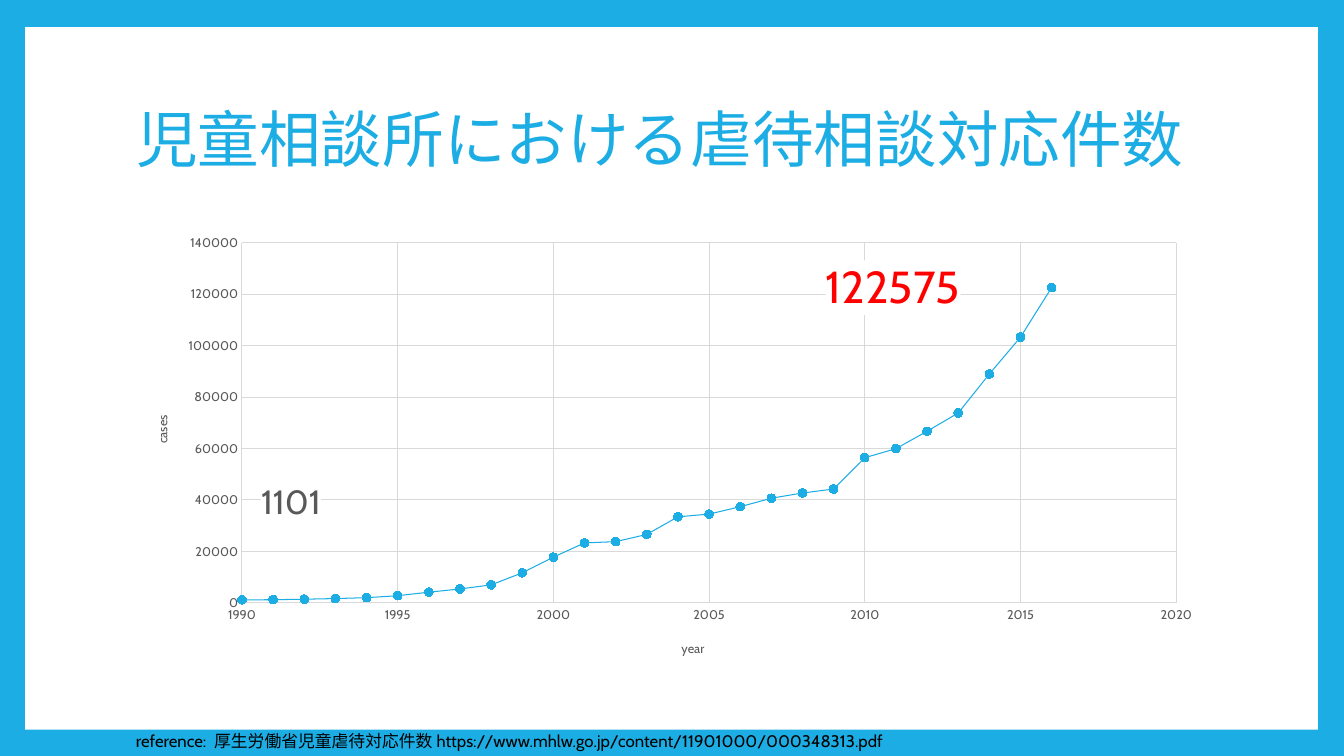
from dataclasses import dataclass
from typing import Any, Optional

import lxml.etree
import pptx
import pptx.chart.data
import pptx.dml.color
import pptx.enum.chart
import pptx.enum.shapes
import pptx.enum.text
import pptx.oxml.ns
import pptx.util

qn = pptx.oxml.ns.qn


@dataclass(frozen=True)
class Theme:
    font: str = "Cabin"
    blue: str = "1CADE4"
    marker: str = "12B1EE"
    white: str = "FFFFFF"
    black: str = "000000"
    gray: str = "595959"
    grid: str = "D9D9D9"
    red: str = "FF0000"
    title_size: int = 44
    peak_size: int = 32
    start_size: int = 24
    reference_size: int = 12
    axis_size: int = 9


@dataclass(frozen=True)
class Area:
    column: float
    row: float
    columns: float
    rows: float

    def box(self) -> tuple[int, ...]:
        return tuple(pptx.util.Emu(round(count * CELL)) for count in
                     (self.column, self.row, self.columns, self.rows))


@dataclass(frozen=True)
class AxisStyle:
    title: str
    low: int
    high: int
    step: int
    title_x: float
    title_y: float
    line: Optional[str]


@dataclass(frozen=True)
class Callout:
    index: int
    size: int
    color: str
    shift_x: float
    shift_y: float


THEME = Theme()
CELL = pptx.util.Inches(1) / 12
PANEL = Area(3, 3.24, 153.84, 83.64)
TITLE = Area(15, 8.04, 129.6, 17.76)
CHART = Area(15, 27, 129.6, 53.04)
REFERENCE = Area(15, 86.4, 103.56, 3.6)
PLOT_PERCENT = {"x": 10.65, "y": 3.6, "w": 85.8, "h": 80.8}
FIRST_YEAR = 1990
CASES = [1101, 1171, 1372, 1611, 1961, 2722, 4102, 5352, 6932, 11631, 17725, 23274,
         23738, 26569, 33408, 34472, 37323, 40639, 42664, 44211, 56384, 59919, 66701,
         73802, 88932, 103286, 122575]
YEAR_AXIS = AxisStyle("year", 1990, 2020, 5, 50.8, 92, THEME.grid)
CASES_AXIS = AxisStyle("cases", 0, 140000, 20000, 2.3, 41.8, None)
CALLOUTS = [
    Callout(0, THEME.start_size, THEME.gray, 1, -22),
    Callout(len(CASES) - 1, THEME.peak_size, THEME.red, -21.5, 0),
]


def rgb(color: str) -> pptx.dml.color.RGBColor:
    return pptx.dml.color.RGBColor.from_string(color)


def paint(fill: Any, color: str) -> None:
    fill.solid()
    fill.fore_color.rgb = rgb(color)


def style_font(font: Any, size: int, color: str) -> None:
    font.name = THEME.font
    font.size = pptx.util.Pt(size)
    font.bold = False
    font.color.rgb = rgb(color)


def style_line(line: Any, color: str, width: float) -> None:
    line.color.rgb = rgb(color)
    line.width = pptx.util.Pt(width)


def write(frame: Any, text: str, size: int, color: str) -> None:
    frame.word_wrap = True
    frame.auto_size = pptx.enum.text.MSO_AUTO_SIZE.NONE
    frame.vertical_anchor = pptx.enum.text.MSO_ANCHOR.MIDDLE
    paragraph = frame.paragraphs[0]
    paragraph.alignment = pptx.enum.text.PP_ALIGN.LEFT
    run = paragraph.add_run()
    run.text = text
    style_font(run.font, size, color)


def manual_layout(percents: dict[str, float], absolute: bool, inner: bool = False) -> Any:
    layout = lxml.etree.Element(qn("c:layout"))
    manual = lxml.etree.SubElement(layout, qn("c:manualLayout"))
    if inner:
        lxml.etree.SubElement(manual, qn("c:layoutTarget"), val="inner")
    if absolute:
        for mode in ("xMode", "yMode"):
            lxml.etree.SubElement(manual, qn(f"c:{mode}"), val="edge")
    for side, percent in percents.items():
        lxml.etree.SubElement(manual, qn(f"c:{side}"), val=str(percent / 100))
    return layout


def replace_layout(parent: Any, predecessor: Any, layout: Any) -> None:
    for old in parent.findall(qn("c:layout")):
        parent.remove(old)
    if predecessor is None:
        parent.insert(0, layout)
    else:
        predecessor.addnext(layout)


def style_axis(axis: Any, style: AxisStyle) -> None:
    axis.minimum_scale, axis.maximum_scale = style.low, style.high
    axis.major_unit = style.step
    axis.major_tick_mark = axis.minor_tick_mark = pptx.enum.chart.XL_TICK_MARK.NONE
    axis.has_major_gridlines = True
    style_line(axis.major_gridlines.format.line, THEME.grid, 0.75)
    if style.line:
        style_line(axis.format.line, style.line, 1)
    else:
        axis.format.line.fill.background()
    style_font(axis.tick_labels.font, THEME.axis_size, THEME.gray)
    axis.tick_labels.number_format = "General"
    axis.tick_labels.number_format_is_linked = False
    run = axis.axis_title.text_frame.paragraphs[0].add_run()
    run.text = style.title
    style_font(run.font, THEME.axis_size, THEME.gray)
    title = axis.axis_title._element
    replace_layout(title, title.find(qn("c:tx")),
                   manual_layout({"x": style.title_x, "y": style.title_y}, True))


def add_callout(series: Any, callout: Callout) -> None:
    label = series.points[callout.index].data_label
    style_font(label.font, callout.size, callout.color)
    label.position = pptx.enum.chart.XL_LABEL_POSITION.RIGHT
    labels = series._element.find(qn("c:dLbls"))
    entry = labels.findall(qn("c:dLbl"))[-1]
    replace_layout(entry, entry.find(qn("c:idx")),
                   manual_layout({"x": callout.shift_x, "y": callout.shift_y}, False))
    backing = lxml.etree.Element(qn("c:spPr"))
    fill = lxml.etree.SubElement(backing, qn("a:solidFill"))
    lxml.etree.SubElement(fill, qn("a:srgbClr"), val=THEME.white)
    entry.find(qn("c:txPr")).addprevious(backing)
    for flag in labels:
        if lxml.etree.QName(flag).localname.startswith("show"):
            flag.set("val", "0")


def add_cases_chart(slide: Any) -> None:
    data = pptx.chart.data.XyChartData()
    cases = data.add_series("Series 1")
    for year, count in enumerate(CASES, FIRST_YEAR):
        cases.add_data_point(year, count)
    chart = slide.shapes.add_chart(
        pptx.enum.chart.XL_CHART_TYPE.XY_SCATTER_LINES, *CHART.box(), data).chart
    chart.has_legend = False
    chart.has_title = False
    style_font(chart.font, THEME.axis_size, THEME.gray)
    plot = chart.plots[0]
    plot.vary_by_categories = False
    replace_layout(plot._element.getparent(), None, manual_layout(PLOT_PERCENT, True, True))
    style_axis(chart.category_axis, YEAR_AXIS)
    style_axis(chart.value_axis, CASES_AXIS)
    series = plot.series[0]
    series.smooth = False
    style_line(series.format.line, THEME.blue, 0.75)
    series.marker.style = pptx.enum.chart.XL_MARKER_STYLE.CIRCLE
    series.marker.size = 6
    paint(series.marker.format.fill, THEME.marker)
    style_line(series.marker.format.line, THEME.blue, 0.75)
    for callout in CALLOUTS:
        add_callout(series, callout)


def main() -> None:
    deck = pptx.Presentation()
    deck.slide_width, deck.slide_height = pptx.util.Inches(13.33), pptx.util.Inches(7.5)
    slide = deck.slides.add_slide(deck.slide_layouts[5])
    paint(slide.background.fill, THEME.blue)
    panel = slide.shapes.add_shape(pptx.enum.shapes.MSO_SHAPE.RECTANGLE, *PANEL.box())
    panel.shadow.inherit = False
    paint(panel.fill, THEME.white)
    panel.line.fill.background()
    heading = slide.shapes.title
    heading._element.addprevious(panel._element)
    heading.left, heading.top, heading.width, heading.height = TITLE.box()
    write(heading.text_frame, "児童相談所における虐待相談対応件数", THEME.title_size, THEME.blue)
    heading.text_frame.paragraphs[0].line_spacing = 0.9
    add_cases_chart(slide)
    reference = slide.shapes.add_textbox(*REFERENCE.box())
    write(reference.text_frame,
          "reference: 厚生労働省児童虐待対応件数https://www.mhlw.go.jp/content/11901000/000348313.pdf",
          THEME.reference_size, THEME.black)
    deck.save("out.pptx")


if __name__ == "__main__":
    main()
